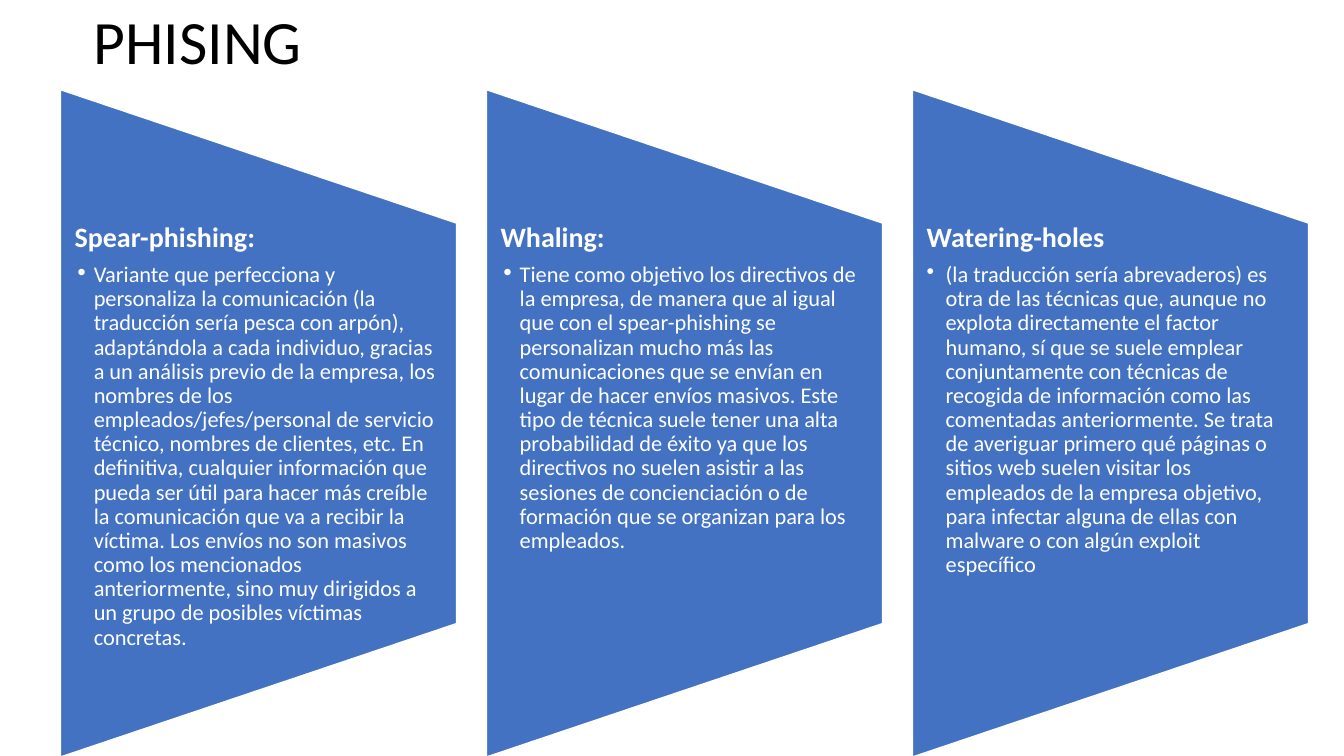
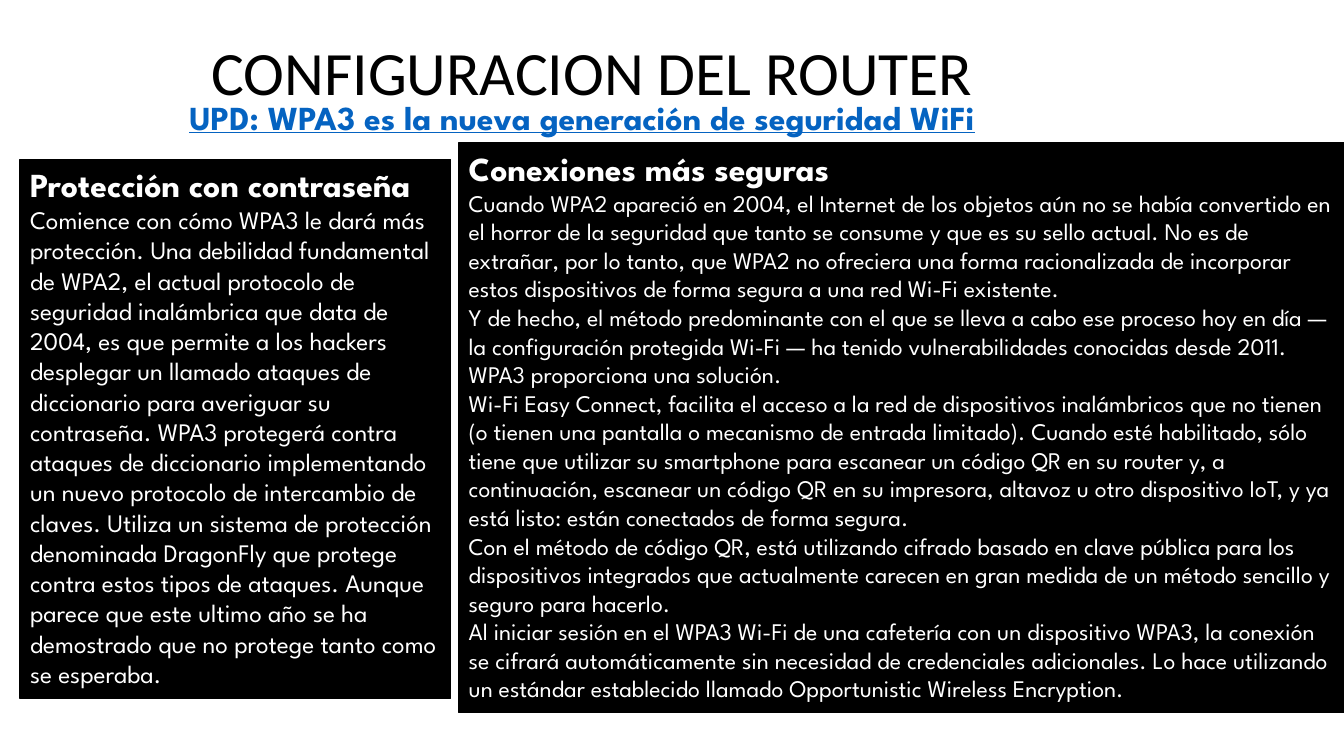
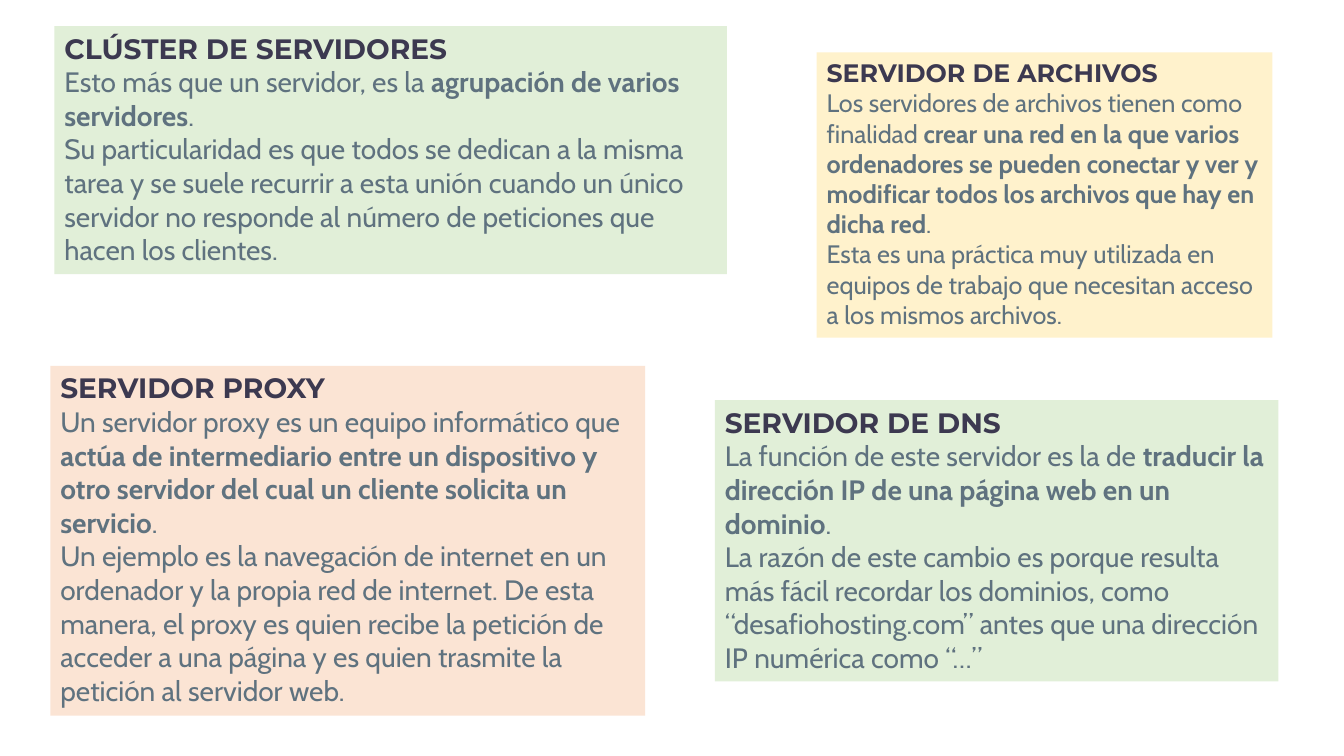
from dataclasses import dataclass, replace

from pptx import Presentation
from pptx.dml.color import RGBColor
from pptx.enum.shapes import MSO_SHAPE
from pptx.enum.text import MSO_ANCHOR, MSO_AUTO_SIZE, PP_ALIGN
from pptx.oxml.ns import qn
from pptx.util import Inches, Pt
from lxml.etree import SubElement


@dataclass(frozen=True)
class Style:
    font: str
    size: float
    color: str
    bold: bool = False
    underline: bool = False


class Theme:
    white = "FFFFFF"
    black = "000000"
    blue = "4372C3"
    green = "E1EFD8"
    peach = "FBE4D4"
    cream = "FFF2CC"
    title = Style("Calibri", 44, black)
    column_head = Style("Calibri", 20, white, bold=True)
    column_body = Style("Calibri", 16, white)
    link = Style("League Spartan", 24, "0563C1", bold=True, underline=True)
    router_head = Style("League Spartan", 24, white, bold=True)
    router_body = Style("League Spartan", 18, white)
    server_head = Style("Montserrat", 20, "3C3950", bold=True)
    server_body = Style("Cabin", 20, "5F727F")
    tight = 0.9


PHISHING_TITLE = ("PHISING", (0.83, 0, 11.5, 0.88))
PHISHING = [
    ("Spear-phishing:", "∙",
     "Variante que perfecciona y personaliza la comunicación (la traducción sería pesca con arpón), "
     "adaptándola a cada individuo, gracias a un análisis previo de la empresa, los nombres de los "
     "empleados/jefes/personal de servicio técnico, nombres de clientes, etc. En definitiva, cualquier "
     "información que pueda ser útil para hacer más creíble la comunicación que va a recibir la víctima. "
     "Los envíos no son masivos como los mencionados anteriormente, sino muy dirigidos a un grupo de "
     "posibles víctimas concretas."),
    ("Whaling:", "∙",
     "Tiene como objetivo los directivos de la empresa, de manera que al igual que con el spear-phishing "
     "se personalizan mucho más las comunicaciones que se envían en lugar de hacer envíos masivos. Este "
     "tipo de técnica suele tener una alta probabilidad de éxito ya que los directivos no suelen asistir "
     "a las sesiones de concienciación o de formación que se organizan para los empleados."),
    ("Watering-holes", "•",
     "(la traducción sería abrevaderos) es otra de las técnicas que, aunque no explota directamente el "
     "factor humano, sí que se suele emplear conjuntamente con técnicas de recogida de información como "
     "las comentadas anteriormente. Se trata de averiguar primero qué páginas o sitios web suelen "
     "visitar los empleados de la empresa objetivo, para infectar alguna de ellas con malware o con "
     "algún exploit específico"),
]

ROUTER_TITLE = ("CONFIGURACION DEL ROUTER", (2, 0.02, 11.5, 1.45))
ROUTER_LINK = ("UPD: WPA3 es la nueva generación de seguridad WiFi", (1.78, 0.91, 8.17, 0.5))
ROUTER = [
    ((0.2, 1.58, 4.27, 5.35), 18, "Protección con contraseña", [
        "Comience con cómo WPA3 le dará más protección. Una debilidad fundamental de WPA2, el actual "
        "protocolo de seguridad inalámbrica que data de 2004, es que permite a los hackers desplegar un "
        "llamado ataques de diccionario para averiguar su contraseña. WPA3 protegerá contra ataques de "
        "diccionario implementando un nuevo protocolo de intercambio de claves. Utiliza un sistema de "
        "protección denominada DragonFly que protege contra estos tipos de ataques. Aunque parece que "
        "este ultimo año se ha demostrado que no protege tanto como se esperaba.",
    ]),
    ((4.55, 1.42, 8.79, 5.65), 17, "Conexiones más seguras", [
        "Cuando WPA2 apareció en 2004, el Internet de los objetos aún no se había convertido en el horror "
        "de la seguridad que tanto se consume y que es su sello actual. No es de extrañar, por lo tanto, "
        "que WPA2 no ofreciera una forma racionalizada de incorporar estos dispositivos de forma segura "
        "a una red Wi-Fi existente.",
        "Y de hecho, el método predominante con el que se lleva a cabo ese proceso hoy en día — la "
        "configuración protegida Wi-Fi — ha tenido vulnerabilidades conocidas desde 2011. WPA3 "
        "proporciona una solución.",
        "Wi-Fi Easy Connect, facilita el acceso a la red de dispositivos inalámbricos que no tienen (o "
        "tienen una pantalla o mecanismo de entrada limitado). Cuando esté habilitado, sólo tiene que "
        "utilizar su smartphone para escanear un código QR en su router y, a continuación, escanear un "
        "código QR en su impresora, altavoz u otro dispositivo IoT, y ya está listo: están conectados de "
        "forma segura.",
        "Con el método de código QR, está utilizando cifrado basado en clave pública para los "
        "dispositivos integrados que actualmente carecen en gran medida de un método sencillo y seguro "
        "para hacerlo.",
        "Al iniciar sesión en el WPA3 Wi-Fi de una cafetería con un dispositivo WPA3, la conexión se "
        "cifrará automáticamente sin necesidad de credenciales adicionales. Lo hace utilizando un "
        "estándar establecido llamado Opportunistic Wireless Encryption.",
    ]),
]

SERVERS = [
    ((0.54, 0.26, 6.67, 2.46), Theme.green, 20, "CLÚSTER DE SERVIDORES",
     "Esto más que un servidor, es la ", "agrupación de varios servidores",
     "Su particularidad es que todos se dedican a la misma tarea y se suele recurrir a esta unión cuando "
     "un único servidor no responde al número de peticiones que hacen los clientes."),
    ((0.5, 3.63, 5.9, 3.47), Theme.peach, 20, "SERVIDOR PROXY",
     "Un servidor proxy es un equipo informático que ",
     "actúa de intermediario entre un dispositivo y otro servidor del cual un cliente solicita un servicio",
     "Un ejemplo es la navegación de internet en un ordenador y la propia red de internet. De esta "
     "manera, el proxy es quien recibe la petición de acceder a una página y es quien trasmite la "
     "petición al servidor web."),
    ((8.1, 0.52, 4.52, 2.83), Theme.cream, 18, "SERVIDOR DE ARCHIVOS",
     "Los servidores de archivos tienen como finalidad ",
     "crear una red en la que varios ordenadores se pueden conectar y ver y modificar todos los archivos "
     "que hay en dicha red",
     "Esta es una práctica muy utilizada en equipos de trabajo que necesitan acceso a los mismos "
     "archivos."),
    ((7.09, 3.97, 5.59, 2.79), Theme.green, 20, "SERVIDOR DE DNS",
     "La función de este servidor es la de ", "traducir la dirección IP de una página web en un dominio",
     "La razón de este cambio es porque resulta más fácil recordar los dominios, como "
     "“desafiohosting.com” antes que una dirección IP numérica como “…”"),
]


def rgb(color):
    return RGBColor.from_string(color)


def add_panel(s, kind, at, fill, line=None):
    sp = s.shapes.add_shape(kind, *map(Inches, at))
    sp.shadow.inherit = False
    sp.fill.solid()
    sp.fill.fore_color.rgb = rgb(fill)
    if line:
        sp.line.color.rgb = rgb(line)
        sp.line.width = Pt(1)
    else:
        sp.line.fill.background()
    return sp


def write(sp, paragraphs, spacing=None, anchor=MSO_ANCHOR.TOP, grow=False):
    tf = sp.text_frame
    tf.word_wrap = True
    tf.vertical_anchor = anchor
    tf.auto_size = MSO_AUTO_SIZE.SHAPE_TO_FIT_TEXT if grow else MSO_AUTO_SIZE.NONE
    for i, runs in enumerate(paragraphs):
        p = tf.add_paragraph() if i else tf.paragraphs[0]
        p.alignment = PP_ALIGN.LEFT
        if spacing:
            p.line_spacing = spacing
        for text, style in runs:
            r = p.add_run()
            r.text = text
            r.font.name = style.font
            r.font.size = Pt(style.size)
            r.font.bold = style.bold
            r.font.underline = style.underline
            r.font.color.rgb = rgb(style.color)
    return tf


def add_text(s, at, paragraphs, **options):
    return write(s.shapes.add_textbox(*map(Inches, at)), paragraphs, **options)


def add_title(s, text, at):
    add_text(s, at, [[(text, Theme.title)]], spacing=Theme.tight, anchor=MSO_ANCHOR.MIDDLE)


def add_bullet(p, char, indent):
    p.space_before = Pt(7)
    pPr = p._p.get_or_add_pPr()
    pPr.set("marL", str(Inches(indent)))
    pPr.set("indent", str(-Inches(indent)))
    SubElement(pPr, qn("a:buChar")).set("char", char)


def build_phishing(s):
    add_title(s, *PHISHING_TITLE)
    left, step, width, top, height = 0.6, 4.225, 3.93, 0.89, 6.62
    for i, (head, char, body) in enumerate(PHISHING):
        x = left + i * step
        turned = (x + (width - height) / 2, top + (height - width) / 2, height, width)
        sp = add_panel(s, MSO_SHAPE.FLOWCHART_MANUAL_OPERATION, turned, Theme.blue, Theme.white)
        sp.rotation = 270
        tf = add_text(s, (x, top + height / 5, width, height * 3 / 5),
                      [[(head, Theme.column_head)], [(body, Theme.column_body)]], spacing=Theme.tight)
        tf.margin_left = tf.margin_right = Inches(0.14)
        tf.margin_top = tf.margin_bottom = 0
        add_bullet(tf.paragraphs[1], char, 0.19)


def build_router(s):
    add_title(s, *ROUTER_TITLE)
    text, at = ROUTER_LINK
    add_text(s, at, [[(text, Theme.link)]], grow=True)
    for at, size, head, texts in ROUTER:
        body = replace(Theme.router_body, size=size)
        sp = add_panel(s, MSO_SHAPE.RECTANGLE, at, Theme.black, Theme.black)
        write(sp, [[(head, Theme.router_head)]] + [[(t, body)] for t in texts], grow=True)


def build_servers(s):
    for at, fill, size, head, lead, key, detail in SERVERS:
        body = replace(Theme.server_body, size=size)
        strong = replace(body, bold=True)
        sp = add_panel(s, MSO_SHAPE.RECTANGLE, at, fill)
        write(sp, [
            [(head, replace(Theme.server_head, size=size))],
            [(lead, body), (key, strong), (".", body)],
            [(detail, body)],
        ], grow=True)


def main():
    prs = Presentation()
    prs.slide_width, prs.slide_height = Inches(13.33), Inches(7.5)
    for build in (build_phishing, build_router, build_servers):
        build(prs.slides.add_slide(prs.slide_layouts[6]))
    prs.save("out.pptx")


if __name__ == "__main__":
    main()
